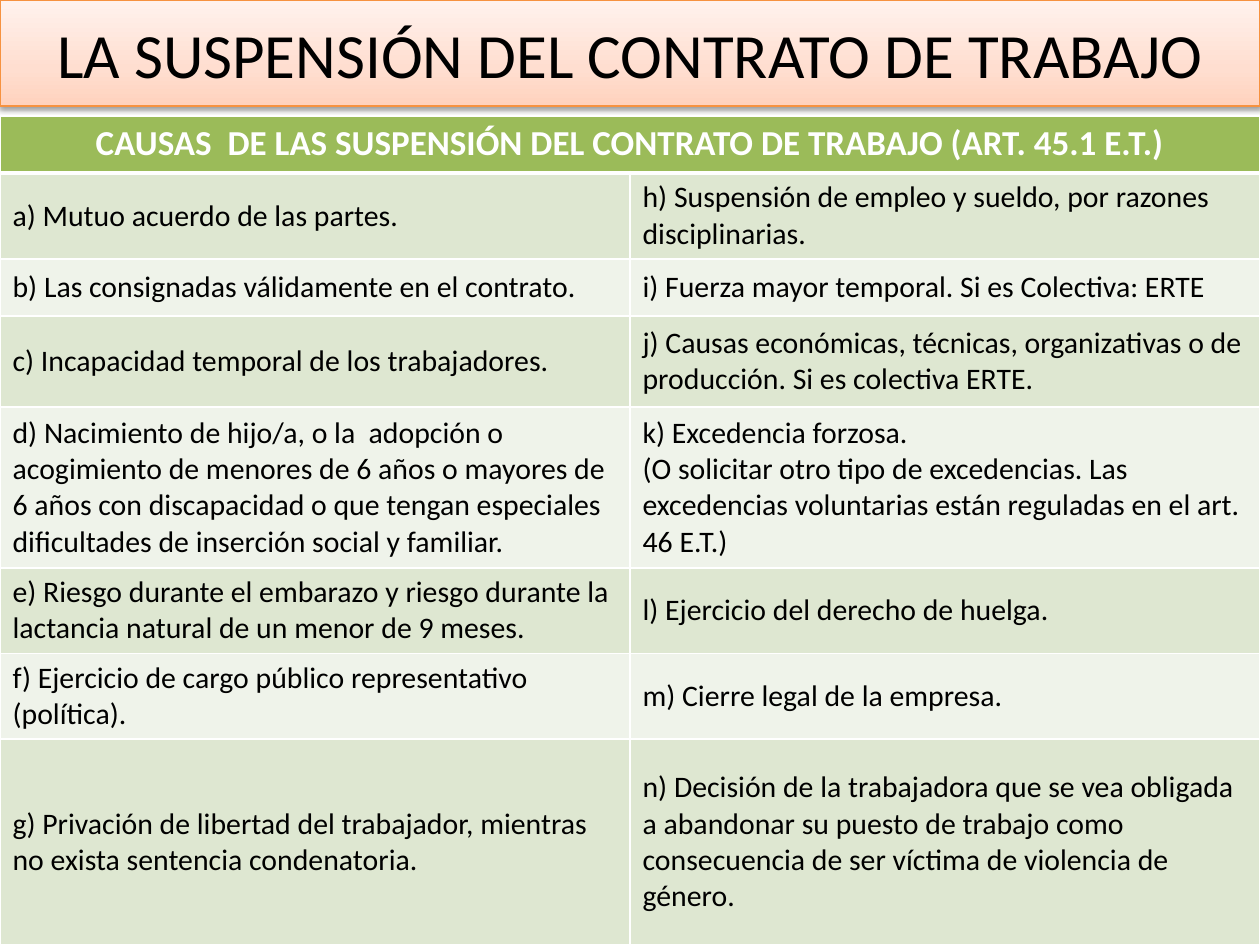
from lxml.etree import SubElement
from pptx import Presentation
from pptx.dml.color import RGBColor
from pptx.enum.shapes import MSO_SHAPE
from pptx.enum.text import MSO_ANCHOR, PP_ALIGN
from pptx.oxml import parse_xml
from pptx.oxml.ns import nsdecls, qn
from pptx.util import Emu, Pt

TITLE = "LA SUSPENSIÓN DEL CONTRATO DE TRABAJO"
HEADER = "CAUSAS  DE LAS SUSPENSIÓN DEL CONTRATO DE TRABAJO (ART. 45.1 E.T.)"
CAUSES = [
    ("a) Mutuo acuerdo de las partes.",
     "h) Suspensión de empleo y sueldo, por razones disciplinarias."),
    ("b) Las consignadas válidamente en el contrato.",
     "i) Fuerza mayor temporal. Si es Colectiva: ERTE"),
    ("c) Incapacidad temporal de los trabajadores.",
     "j) Causas económicas, técnicas, organizativas o de producción. Si es colectiva ERTE."),
    ("d) Nacimiento de hijo/a, o la  adopción o acogimiento de menores de 6 años o mayores de "
     "6 años con discapacidad o que tengan especiales dificultades de inserción social y familiar.",
     "k) Excedencia forzosa.\n(O solicitar otro tipo de excedencias. Las excedencias voluntarias "
     "están reguladas en el art. 46 E.T.)"),
    ("e) Riesgo durante el embarazo y riesgo durante la lactancia natural de un menor de 9 meses.",
     "l) Ejercicio del derecho de huelga."),
    ("f) Ejercicio de cargo público representativo (política).",
     "m) Cierre legal de la empresa."),
    ("g) Privación de libertad del trabajador, mientras no exista sentencia condenatoria.",
     "n) Decisión de la trabajadora que se vea obligada a abandonar su puesto de trabajo como "
     "consecuencia de ser víctima de violencia de género."),
]
ROW_HEIGHTS = [57, 86, 57, 91, 161, 85, 86, 206]
WIDTH, HEIGHT, TITLE_HEIGHT, TABLE_TOP = 1260, 945, 106, 116
GRADIENT = [(0, "FFD2BD"), (35, "FFDED0"), (100, "FFF2ED")]
BANDS = ["DEE7D1", "EFF3EA"]
FONT = "Calibri"


def px(length):
    """Turn px into EMU."""
    return Emu(round(length * 914400 / 126))


def color(value):
    """Turn a hex string into a colour."""
    return RGBColor.from_string(value)


def write(text_frame, text, size, font_color, align, bold=False):
    """Put formatted text in a frame."""
    text_frame.text = text
    for paragraph in text_frame.paragraphs:
        paragraph.alignment = align
        for run in paragraph.runs:
            run.font.name = FONT
            run.font.size = Pt(size)
            run.font.bold = bold
            run.font.color.rgb = color(font_color)


def add_title(slide):
    """Add the shaded title bar."""
    shape = slide.shapes.add_shape(MSO_SHAPE.RECTANGLE, 0, 0, px(WIDTH), px(TITLE_HEIGHT))
    stops = "".join(f'<a:gs pos="{position * 1000}"><a:srgbClr val="{value}"/></a:gs>'
                    for position, value in GRADIENT)
    properties = shape.element.spPr
    properties.find(qn("a:prstGeom")).addnext(parse_xml(
        f'<a:gradFill {nsdecls("a")} rotWithShape="1"><a:gsLst>{stops}</a:gsLst>'
        '<a:lin ang="16200000" scaled="0"/></a:gradFill>'))
    shape.line.color.rgb = color("F69240")
    shape.line.width = Pt(0.75)
    shape.shadow.inherit = False
    properties.find(qn("a:effectLst")).append(parse_xml(
        f'<a:outerShdw {nsdecls("a")} blurRad="{Pt(3.1)}" dist="{Pt(1.6)}" dir="5400000" '
        'rotWithShape="0"><a:srgbClr val="000000"><a:alpha val="38000"/></a:srgbClr></a:outerShdw>'))
    shape.text_frame.word_wrap = True
    shape.text_frame.vertical_anchor = MSO_ANCHOR.MIDDLE
    write(shape.text_frame, TITLE, 36, "000000", PP_ALIGN.CENTER)


def style_cell(cell, fill, top=1, bottom=1):
    """Give a cell white borders and a plain fill."""
    properties = cell._tc.get_or_add_tcPr()
    for side, width in (("L", 1), ("R", 1), ("T", top), ("B", bottom)):
        line = SubElement(properties, qn(f"a:ln{side}"), w=str(Pt(width)))
        SubElement(SubElement(line, qn("a:solidFill")), qn("a:srgbClr"), val="FFFFFF")
    cell.fill.solid()
    cell.fill.fore_color.rgb = color(fill)


def add_causes(slide):
    """Add the table of causes under its merged header."""
    table = slide.shapes.add_table(len(ROW_HEIGHTS), 2, 0, px(TABLE_TOP), px(WIDTH),
                                   px(sum(ROW_HEIGHTS))).table
    for row, height in zip(table.rows, ROW_HEIGHTS):
        row.height = px(height)
    for cell in table.rows[0].cells:
        style_cell(cell, "9BBB59", bottom=3)
    header = table.cell(0, 0)
    header.merge(table.cell(0, 1))
    write(header.text_frame, HEADER, 20, "FFFFFF", PP_ALIGN.CENTER, bold=True)
    for row_index, causes in enumerate(CAUSES, 1):
        for column_index, cause in enumerate(causes):
            cell = table.cell(row_index, column_index)
            style_cell(cell, BANDS[(row_index - 1) % 2], top=3 if row_index == 1 else 1)
            cell.vertical_anchor = MSO_ANCHOR.MIDDLE
            write(cell.text_frame, cause, 17, "000000", PP_ALIGN.LEFT)


def main():
    """Build the slide."""
    presentation = Presentation()
    presentation.slide_width, presentation.slide_height = px(WIDTH), px(HEIGHT)
    slide = presentation.slides.add_slide(presentation.slide_layouts[6])
    add_title(slide)
    add_causes(slide)
    presentation.save("out.pptx")


if __name__ == "__main__":
    main()
